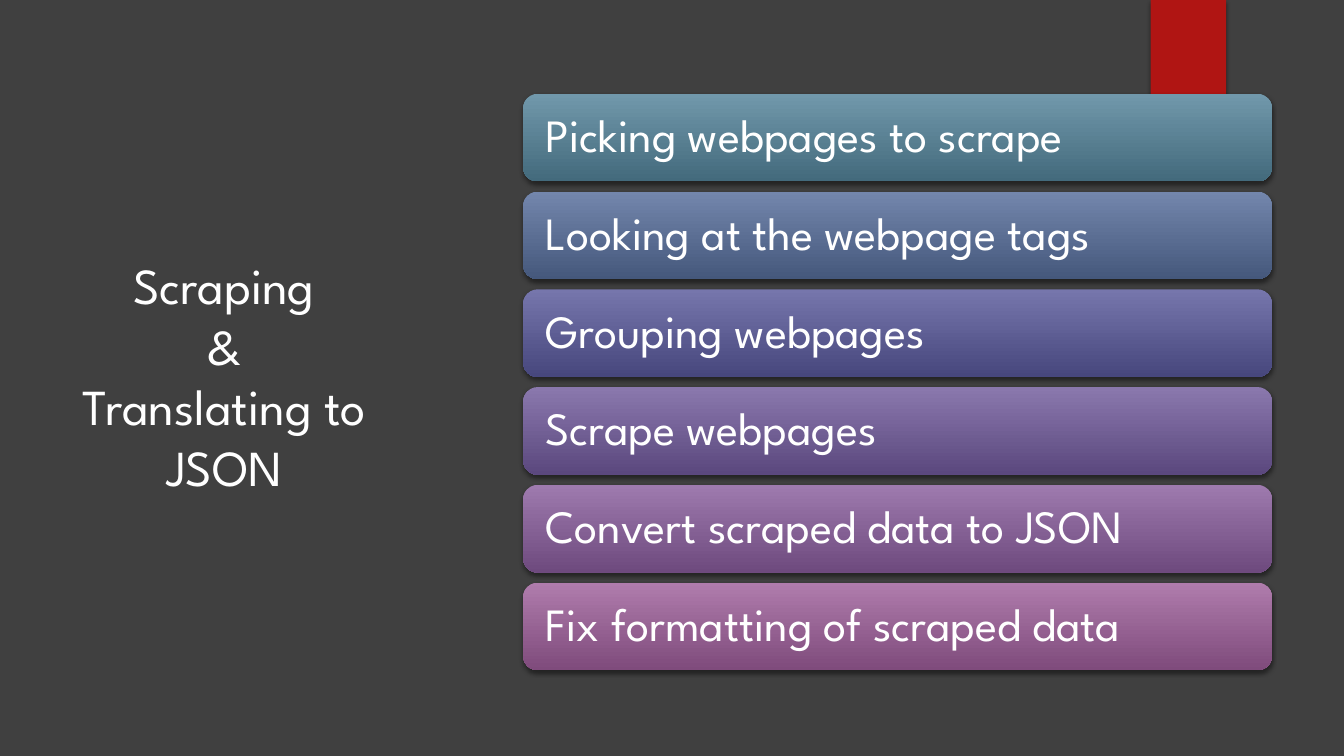
from lxml import etree
from pptx import Presentation
from pptx.dml.color import RGBColor
from pptx.enum.shapes import MSO_SHAPE
from pptx.enum.text import MSO_ANCHOR, PP_ALIGN
from pptx.oxml.ns import qn
from pptx.util import Pt

RECTANGLE = MSO_SHAPE.RECTANGLE
ROUNDED = MSO_SHAPE.ROUNDED_RECTANGLE
MIDDLE = MSO_ANCHOR.MIDDLE
LEFT = PP_ALIGN.LEFT
CENTER = PP_ALIGN.CENTER

FONT = "League Spartan"
WHITE = "FFFFFF"
BACKGROUND = "404040"
RED = "B01513"

# Step text, gradient top colour, gradient bottom colour
STEPS = [
    ("Picking webpages to scrape", "7198AB", "436A7C"),
    ("Looking at the webpage tags", "7386AC", "45587C"),
    ("Grouping webpages", "7676AC", "47477D"),
    ("Scrape webpages", "8A78AD", "5B487E"),
    ("Convert scraped data to JSON", "9E7AAE", "6E4A7E"),
    ("Fix formatting of scraped data", "AF7CAC", "7F4B7C"),
]


def color(hex_string):
    return RGBColor.from_string(hex_string)


def add_soft_shadow(shape):
    """Give the shape a soft black shadow that falls straight down."""
    shape.shadow.inherit = False
    effects = shape._element.spPr.find(qn("a:effectLst"))
    shadow = etree.SubElement(
        effects, qn("a:outerShdw"), blurRad=str(Pt(3)), dist=str(Pt(2)),
        dir="5400000", rotWithShape="0")
    black = etree.SubElement(shadow, qn("a:srgbClr"), val="000000")
    etree.SubElement(black, qn("a:alpha"), val="45000")


def add_block(slide, preset, left, top, width, height):
    shape = slide.shapes.add_shape(
        preset, Pt(left), Pt(top), Pt(width), Pt(height))
    shape.line.fill.background()
    add_soft_shadow(shape)
    return shape


def write(shape, text, size, alignment):
    frame = shape.text_frame
    frame.word_wrap = True
    frame.vertical_anchor = MIDDLE
    paragraph = frame.paragraphs[0]
    paragraph.text = text
    paragraph.alignment = alignment
    for run in paragraph.runs:
        run.font.name = FONT
        run.font.size = Pt(size)
        run.font.color.rgb = color(WHITE)
    return paragraph


def add_ribbon(slide, left, top, width, height):
    ribbon = add_block(slide, RECTANGLE, left, top, width, height)
    ribbon.fill.solid()
    ribbon.fill.fore_color.rgb = color(RED)


def add_title(slide, left, top, width, height):
    title = slide.shapes.add_textbox(
        Pt(left), Pt(top), Pt(width), Pt(height))
    write(title, "Scraping\v&\vTranslating to JSON", 36, CENTER)


def add_steps(slide, left, top, width, height, gap=7.2):
    """Stack one gradient bar per step, filling the given box."""
    bar_height = (height - gap * (len(STEPS) - 1)) / len(STEPS)
    for index, (text, top_color, bottom_color) in enumerate(STEPS):
        bar_top = top + index * (bar_height + gap)
        bar = add_block(slide, ROUNDED, left, bar_top, width, bar_height)
        bar.fill.gradient()
        bar.fill.gradient_angle = 270
        for stop, hex_string in zip(bar.fill.gradient_stops,
                                    (top_color, bottom_color)):
            stop.color.rgb = color(hex_string)
        bar.text_frame.margin_left = bar.text_frame.margin_right = Pt(13)
        paragraph = write(bar, text, 33, LEFT)
        paragraph.line_spacing = 0.9


def main():
    presentation = Presentation()
    presentation.slide_width = Pt(960)
    presentation.slide_height = Pt(540)
    slide = presentation.slides.add_slide(presentation.slide_layouts[6])
    slide.background.fill.solid()
    slide.background.fill.fore_color.rgb = color(BACKGROUND)

    add_ribbon(slide, 821.9, 0, 54, 90)
    add_title(slide, 38.9, 41, 242.6, 454.3)
    add_steps(slide, 373.7, 67, 535, 411.8)

    presentation.save("out.pptx")


if __name__ == "__main__":
    main()
